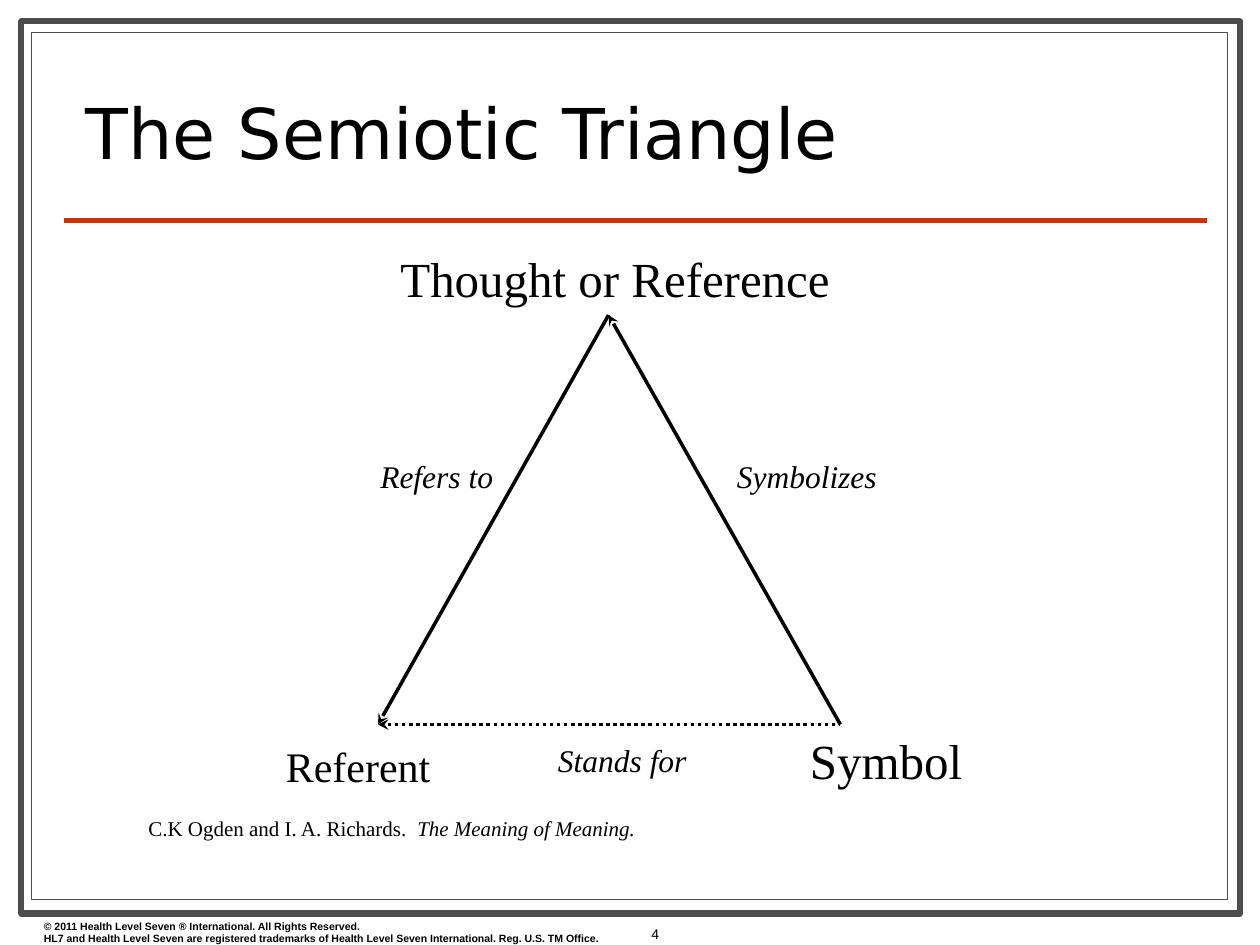
from lxml.etree import SubElement
from pptx import Presentation
from pptx.dml.color import RGBColor
from pptx.enum.dml import MSO_LINE as Dash
from pptx.enum.shapes import MSO_CONNECTOR as Link, MSO_SHAPE as Shape
from pptx.enum.text import MSO_ANCHOR as Anchor, MSO_AUTO_SIZE as Fit, PP_ALIGN as Align
from pptx.oxml.ns import qn
from pptx.util import Inches, Pt

BLACK = RGBColor(0, 0, 0)
WHITE = RGBColor(255, 255, 255)
GREY = RGBColor(0x4D, 0x4D, 0x4D)
RED = RGBColor(0xCC, 0x33, 0x00)
SERIF, SANS, HEAD = "Times New Roman", "Arial", "DejaVu Sans"

TITLE = "The Semiotic Triangle"
RIGHTS = [
    "© 2011 Health Level Seven ® International. All Rights Reserved.",
    "HL7 and Health Level Seven are registered trademarks of "
    "Health Level Seven International. Reg. U.S. TM Office.",
]
SOURCE = [("C.K Ogden and I. A. Richards.  ", False), ("The Meaning of Meaning.", True)]
FRAMES = [((0.17, 0.17, 9.67, 7.08), 3.5), ((0.25, 0.26, 9.49, 6.88), 0.75)]

TOP, LEFT, RIGHT = (4.83, 2.5), (3, 5.75), (6.67, 5.75)
ARROWS = [(LEFT, RIGHT, Dash.ROUND_DOT), (LEFT, TOP, None), (TOP, RIGHT, None)]
LABELS = [
    ("Thought or Reference", (3.08, 1.92, 3.87, 0.57), 28, False),
    ("Referent", (2.17, 5.83, 1.45, 0.5), 24, False),
    ("Symbol", (6.33, 5.75, 1.47, 0.57), 28, False),
    ("Symbolizes", (5.75, 3.58, 1.39, 0.4), 18, True),
    ("Refers to", (2.92, 3.58, 1.15, 0.4), 18, True),
    ("Stands for", (4.33, 5.83, 1.32, 0.4), 18, True),
]


def add_run(para, text, size, face, bold=False, slant=False):
    run = para.add_run()
    run.text = text
    font = run.font
    font.size, font.name, font.bold, font.italic = Pt(size), face, bold, slant
    font.color.rgb = BLACK


def add_box(slide, box, wrap=True):
    frame = slide.shapes.add_textbox(*map(Inches, box)).text_frame
    frame.word_wrap = wrap
    return frame


def add_line(slide, start, end, color, width):
    line = slide.shapes.add_connector(Link.STRAIGHT, *map(Inches, start + end))
    line.line.color.rgb = color
    line.line.width = Pt(width)
    SubElement(line.element.spPr, qn("a:effectLst"))
    return line


def add_frames(slide):
    for box, width in FRAMES:
        rect = slide.shapes.add_shape(Shape.RECTANGLE, *map(Inches, box))
        rect.shadow.inherit = False
        rect.fill.solid()
        rect.fill.fore_color.rgb = WHITE
        rect.line.color.rgb = GREY
        rect.line.width = Pt(width)
    add_line(slide, (0.51, 1.75), (9.58, 1.75), RED, 3)


def add_title(slide):
    title = slide.shapes.title
    title.left, title.top, title.width, title.height = map(Inches, (0.58, 0.52, 8.92, 0.9))
    title.element.getparent().append(title.element)
    frame = title.text_frame
    frame.auto_size = Fit.NONE
    frame.vertical_anchor = Anchor.BOTTOM
    para = frame.paragraphs[0]
    para.alignment = Align.LEFT
    para.line_spacing = 0.8
    add_run(para, TITLE, 40, HEAD)


def add_footer(slide):
    frame = add_box(slide, (0.25, 7.25, 4.83, 0.3))
    for i, text in enumerate(RIGHTS):
        para = frame.add_paragraph() if i else frame.paragraphs[0]
        add_run(para, text, 6, SANS, bold=True)
    frame = add_box(slide, (4.75, 7.15, 0.58, 0.52))
    frame.vertical_anchor = Anchor.MIDDLE
    para = frame.paragraphs[0]
    para.alignment = Align.RIGHT
    add_run(para, "4", 8, SANS)


def add_graph(slide):
    for start, end, dash in ARROWS:
        line = add_line(slide, start, end, BLACK, 2).line
        if dash:
            line.dash_style = dash
        SubElement(line._get_or_add_ln(), qn("a:headEnd"), type="stealth")
    for text, box, size, slant in LABELS:
        frame = add_box(slide, box, wrap=False)
        frame.auto_size = Fit.SHAPE_TO_FIT_TEXT
        add_run(frame.paragraphs[0], text, size, SERIF, slant=slant)
    para = add_box(slide, (1.08, 6.42, 7.17, 0.3)).paragraphs[0]
    for text, slant in SOURCE:
        add_run(para, text, 12, SERIF, slant=slant)


def main():
    deck = Presentation()
    deck.slide_width, deck.slide_height = Inches(10), Inches(7.5)
    slide = deck.slides.add_slide(deck.slide_layouts[5])
    add_frames(slide)
    add_title(slide)
    add_footer(slide)
    add_graph(slide)
    deck.save("out.pptx")


if __name__ == "__main__":
    main()
